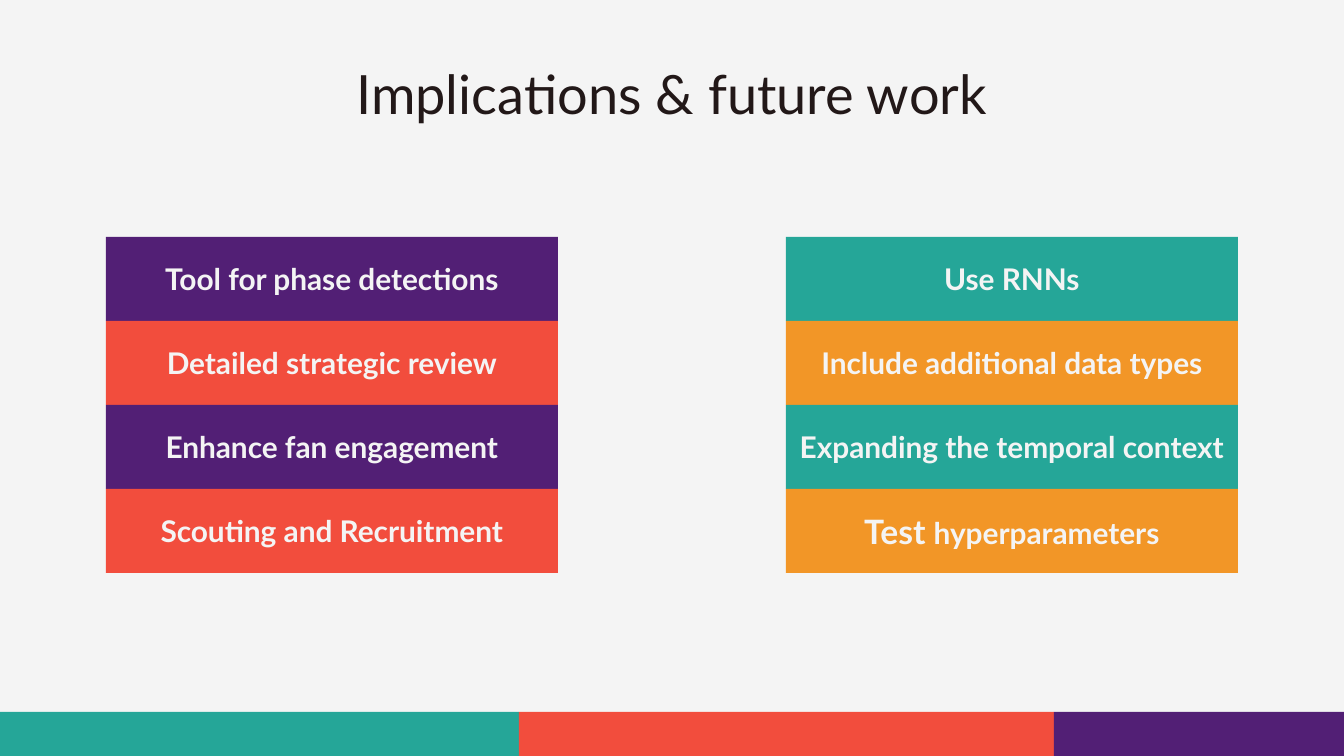
from dataclasses import dataclass

import pptx
import pptx.dml.color
import pptx.enum.shapes
import pptx.enum.text
import pptx.util

EMU_PER_PX = 914400 / 134.4
SLIDE_W, SLIDE_H = 1344, 756
INSET = 13
FONT = "Lato"
COLORS = {
    "paper": "F4F4F4",
    "ink": "221818",
    "teal": "25A698",
    "red": "F24D3D",
    "purple": "521F75",
    "orange": "F29627",
}

BAR_TOP, BAR_W, BAR_H = 237, 452, 84
FOOTER_TOP = 712


@dataclass(frozen=True)
class Run:
    text: str
    size: int = 16


@dataclass(frozen=True)
class Column:
    left: int
    colors: tuple[str, str]
    bars: tuple[tuple[Run, ...], ...]


@dataclass(frozen=True)
class FooterBand:
    left: int
    right: int
    color: str


COLUMNS = (
    Column(106, ("purple", "red"), (
        (Run("Tool for phase detections"),),
        (Run("Detailed strategic review"),),
        (Run("Enhance fan engagement"),),
        (Run("Scouting and Recruitment"),),
    )),
    Column(786, ("teal", "orange"), (
        (Run("Use RNNs"),),
        (Run("Include additional data types"),),
        (Run("Expanding the temporal context"),),
        (Run("Test ", 18), Run("hyperparameters")),
    )),
)
FOOTER = (
    FooterBand(0, 519, "teal"),
    FooterBand(519, 1054, "red"),
    FooterBand(1054, SLIDE_W, "purple"),
)


def px(n: int) -> pptx.util.Emu:
    return pptx.util.Emu(round(n * EMU_PER_PX))


def rgb(name: str) -> pptx.dml.color.RGBColor:
    return pptx.dml.color.RGBColor.from_string(COLORS[name])


def set_text(sp, runs: tuple[Run, ...], *, color: str, bold: bool = False,
             anchor=pptx.enum.text.MSO_ANCHOR.MIDDLE, wrap: bool = False) -> None:
    tf = sp.text_frame
    tf.word_wrap = wrap
    tf.vertical_anchor = anchor
    tf.margin_left = tf.margin_right = px(INSET)
    tf.margin_top = tf.margin_bottom = px(INSET)
    p = tf.paragraphs[0]
    p.alignment = pptx.enum.text.PP_ALIGN.CENTER
    for run in runs:
        r = p.add_run()
        r.text = run.text
        r.font.name = FONT
        r.font.size = pptx.util.Pt(run.size)
        r.font.bold = bold
        r.font.color.rgb = rgb(color)


def add_rect(slide, left: int, top: int, width: int, height: int, color: str):
    sp = slide.shapes.add_shape(pptx.enum.shapes.MSO_SHAPE.RECTANGLE,
                                px(left), px(top), px(width), px(height))
    sp.shadow.inherit = False
    sp.fill.solid()
    sp.fill.fore_color.rgb = rgb(color)
    sp.line.fill.background()
    return sp


def add_footer(slide, band: FooterBand) -> None:
    add_rect(slide, band.left, FOOTER_TOP, band.right - band.left,
             SLIDE_H - FOOTER_TOP, band.color)


def add_column(slide, column: Column) -> None:
    for i, runs in enumerate(column.bars):
        sp = add_rect(slide, column.left, BAR_TOP + i * BAR_H, BAR_W, BAR_H,
                      column.colors[i % 2])
        set_text(sp, runs, color="paper", bold=True)


def main() -> None:
    prs = pptx.Presentation()
    prs.slide_width, prs.slide_height = px(SLIDE_W), px(SLIDE_H)
    slide = prs.slides.add_slide(prs.slide_layouts[6])
    slide.background.fill.solid()
    slide.background.fill.fore_color.rgb = rgb("paper")

    for band in FOOTER:
        add_footer(slide, band)

    title = slide.shapes.add_textbox(px(106), px(47), px(1132), px(85))
    set_text(title, (Run("Implications & future work", 29),), color="ink",
             anchor=pptx.enum.text.MSO_ANCHOR.TOP, wrap=True)

    for column in COLUMNS:
        add_column(slide, column)

    prs.save("out.pptx")


if __name__ == "__main__":
    main()
